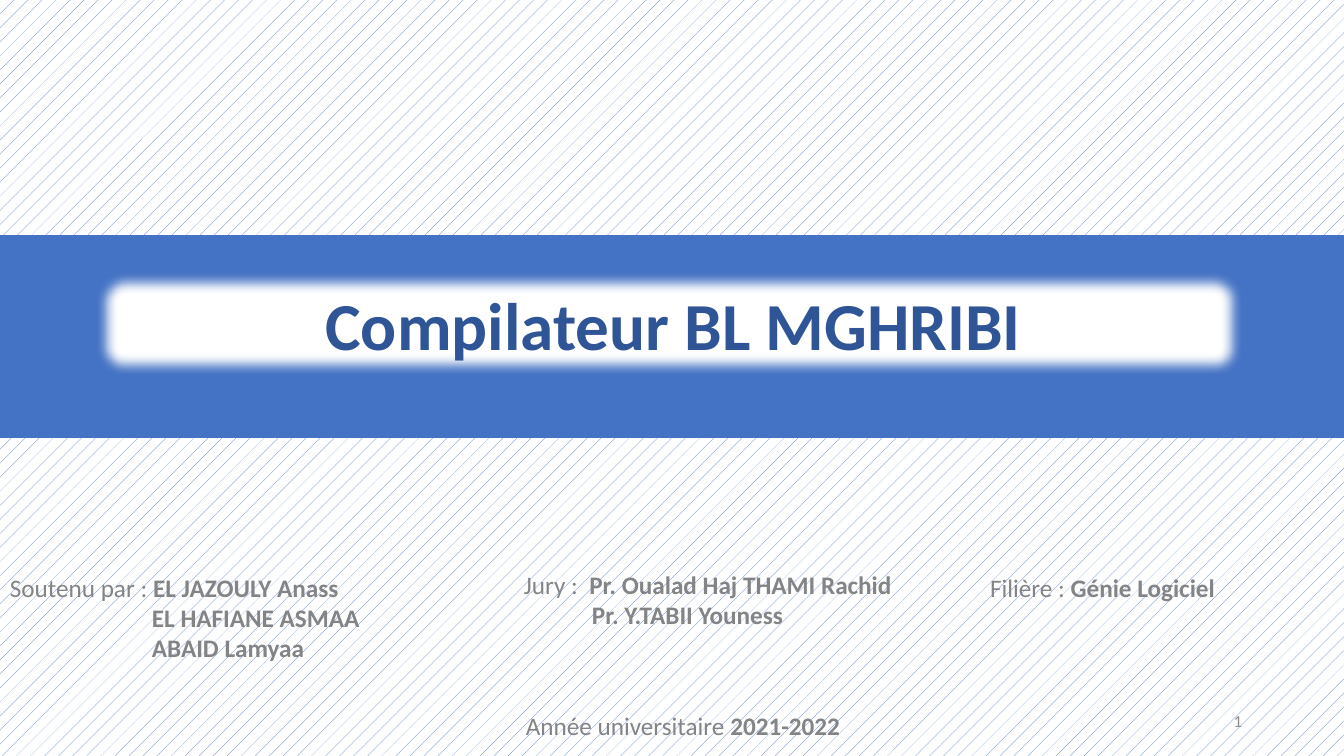
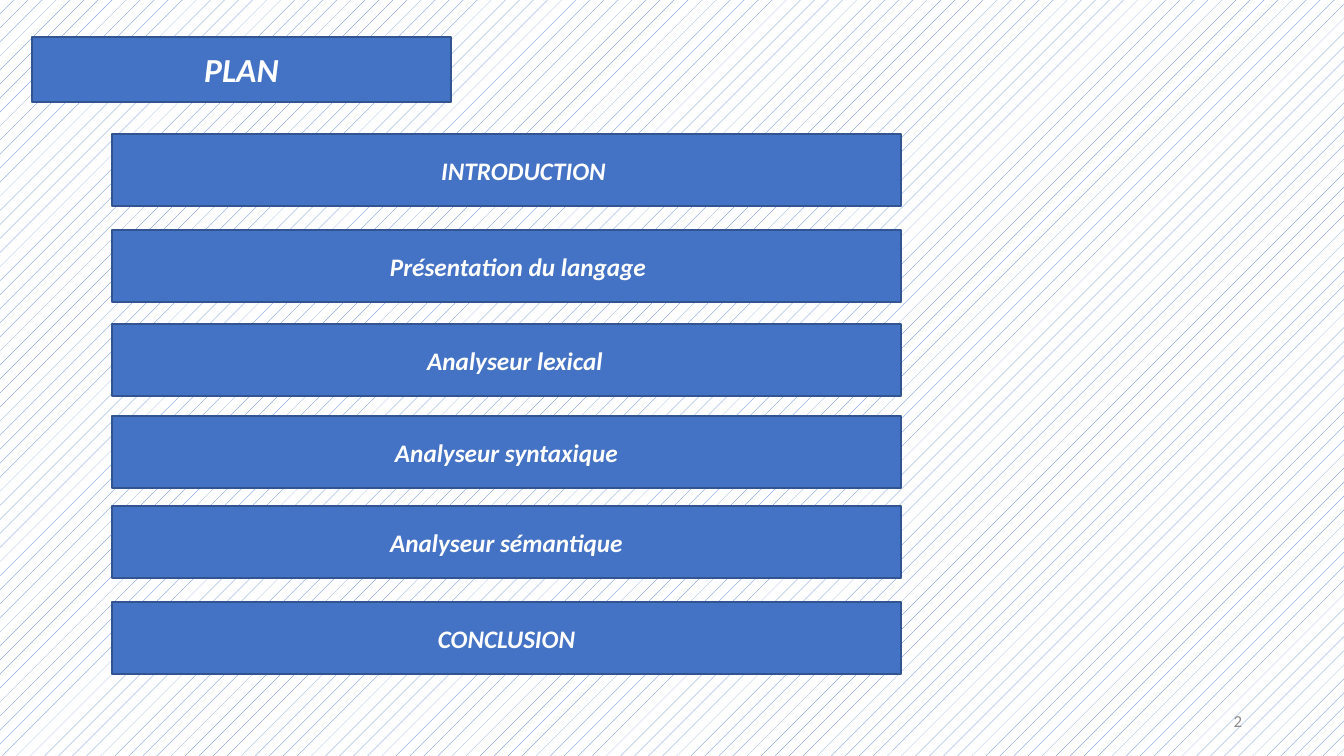
from dataclasses import dataclass

from lxml import etree
from pptx import Presentation
from pptx.dml import color
from pptx.enum import dml, shapes, text
from pptx.oxml import ns
from pptx.shapes import autoshape
from pptx.slide import Slide
from pptx.text import text as txt
from pptx.util import Emu, Pt

SLIDE_W, SLIDE_H = 1344, 756
EMU_PER_PX = 12192000 / SLIDE_W
SOFT_EDGE_PX = 12
LEFT, CENTER, RIGHT = text.PP_ALIGN.LEFT, text.PP_ALIGN.CENTER, text.PP_ALIGN.RIGHT
RECT = shapes.MSO_SHAPE.RECTANGLE


@dataclass(frozen=True)
class Theme:
    font: str = "Calibri"
    blue: str = "4472C4"
    outline: str = "325491"
    title: str = "2F5597"
    white: str = "FFFFFF"
    gray: str = "838486"
    number: str = "8C8C8C"
    title_pt: int = 48
    heading_pt: int = 24
    body_pt: int = 18
    number_pt: int = 12


@dataclass(frozen=True)
class Box:
    x: int
    y: int
    w: int
    h: int


@dataclass(frozen=True)
class Line:
    bold: str
    label: str = ""
    indent: int = 0


@dataclass(frozen=True)
class Credit:
    box: Box
    lines: tuple[Line, ...]
    align: text.PP_ALIGN = LEFT


@dataclass(frozen=True)
class PlanItem:
    name: str
    y: int
    indent: int = 0


THEME = Theme()

CREDITS = (
    Credit(Box(0, 567, 405, 102), (
        Line("EL JAZOULY Anass", "Soutenu par : "),
        Line("EL HAFIANE ASMAA", indent=142),
        Line("ABAID Lamyaa", indent=142),
    )),
    Credit(Box(514, 564, 421, 72), (
        Line("Pr. Oualad Haj THAMI Rachid", "Jury :  "),
        Line("Pr. Y.TABII Youness", indent=68),
    )),
    Credit(Box(920, 567, 365, 40), (Line("Génie Logiciel", "Filière : "),), CENTER),
    Credit(Box(473, 705, 420, 40), (Line("2021-2022", "Année universitaire "),), CENTER),
)

PLAN = (
    PlanItem("INTRODUCTION", 134, 34),
    PlanItem("Présentation du langage", 230, 23),
    PlanItem("Analyseur lexical", 324, 17),
    PlanItem("Analyseur syntaxique", 416),
    PlanItem("Analyseur sémantique", 506),
    PlanItem("CONCLUSION", 602),
)


def px(n: int) -> Emu:
    return Emu(round(n * EMU_PER_PX))


def rgb(value: str) -> color.RGBColor:
    return color.RGBColor.from_string(value)


def bounds(box: Box) -> tuple[Emu, ...]:
    return px(box.x), px(box.y), px(box.w), px(box.h)


def style(r: txt._Run, size: int, tint: str, bold: bool = False, italic: bool = False) -> None:
    f = r.font
    f.name, f.size, f.bold, f.italic = THEME.font, Pt(size), bold, italic
    f.color.rgb = rgb(tint)


def indent(p: txt._Paragraph, left: int) -> None:
    pPr = p._p.get_or_add_pPr()
    pPr.set("marL", str(px(left)))
    pPr.set("indent", "0")


def add_panel(s: Slide, box: Box, fill: str, line: str | None = None,
              kind: shapes.MSO_SHAPE = RECT) -> autoshape.Shape:
    sp = s.shapes.add_shape(kind, *bounds(box))
    sp.shadow.inherit = False
    sp.fill.solid()
    sp.fill.fore_color.rgb = rgb(fill)
    if line:
        sp.line.color.rgb = rgb(line)
        sp.line.width = Pt(1)
    else:
        sp.line.fill.background()
    return sp


def set_caption(sp: autoshape.Shape, caption: str, size: int, tint: str,
                italic: bool = True, left: int = 0) -> None:
    tf = sp.text_frame
    tf.text = caption
    tf.vertical_anchor = text.MSO_ANCHOR.MIDDLE
    p = tf.paragraphs[0]
    p.alignment = CENTER
    indent(p, left)
    style(p.runs[0], size, tint, bold=True, italic=italic)


def add_label(s: Slide, box: Box, caption: str) -> None:
    sp = add_panel(s, box, THEME.blue, THEME.outline)
    size = THEME.heading_pt
    set_caption(sp, caption, size, THEME.white)


def add_plan_item(s: Slide, item: PlanItem) -> None:
    sp = add_panel(s, Box(112, item.y, 789, 72), THEME.blue, THEME.outline)
    set_caption(sp, item.name, THEME.body_pt, THEME.white, left=item.indent)


def add_credit(s: Slide, credit: Credit) -> None:
    tf = s.shapes.add_textbox(*bounds(credit.box)).text_frame
    tf.word_wrap = True
    tf.text = "\n".join(line.label or line.bold for line in credit.lines)
    for p, line in zip(tf.paragraphs, credit.lines):
        p.alignment = credit.align
        indent(p, line.indent)
        style(p.runs[0], THEME.body_pt, THEME.gray, bold=not line.label)
        if line.label:
            r = p.add_run()
            r.text = line.bold
            style(r, THEME.body_pt, THEME.gray, bold=True)


def add_number(s: Slide, number: int) -> None:
    tf = s.shapes.add_textbox(*bounds(Box(950, 701, 302, 40))).text_frame
    tf.word_wrap = True
    tf.vertical_anchor = text.MSO_ANCHOR.MIDDLE
    tf.text = str(number)
    p = tf.paragraphs[0]
    p.alignment = RIGHT
    r = p.runs[0]
    style(r, THEME.number_pt, THEME.number)
    r._r.tag = ns.qn("a:fld")
    r._r.set("id", "{B6F15528-21DE-4FAA-801E-634DDDAF4B2B}")
    r._r.set("type", "slidenum")


def soften(sp: autoshape.Shape) -> None:
    effects = sp._element.spPr.find(ns.qn("a:effectLst"))
    etree.SubElement(effects, ns.qn("a:softEdge"), rad=str(px(SOFT_EDGE_PX)))


def new_slide(prs: Presentation) -> Slide:
    s = prs.slides.add_slide(prs.slide_layouts[6])
    fill = s.background.fill
    fill.patterned()
    fill.pattern = dml.MSO_PATTERN.PERCENT_5
    fill.fore_color.rgb = rgb(THEME.blue)
    fill.back_color.rgb = rgb(THEME.white)
    add_number(s, len(prs.slides))
    return s


def build_cover(prs: Presentation) -> None:
    s = new_slide(prs)
    add_panel(s, Box(0, 235, SLIDE_W, 203), THEME.blue)
    plate = add_panel(s, Box(97, 273, 1145, 102), THEME.white,
                      kind=shapes.MSO_SHAPE.ROUNDED_RECTANGLE)
    soften(plate)
    set_caption(plate, "Compilateur BL MGHRIBI", THEME.title_pt, THEME.title,
                italic=False, left=8)
    for credit in CREDITS:
        add_credit(s, credit)


def build_plan(prs: Presentation) -> None:
    s = new_slide(prs)
    add_label(s, Box(32, 37, 419, 65), "PLAN")
    for item in PLAN:
        add_plan_item(s, item)


def main() -> None:
    prs = Presentation()
    prs.slide_width, prs.slide_height = px(SLIDE_W), px(SLIDE_H)
    build_cover(prs)
    build_plan(prs)
    prs.save("out.pptx")


if __name__ == "__main__":
    main()
